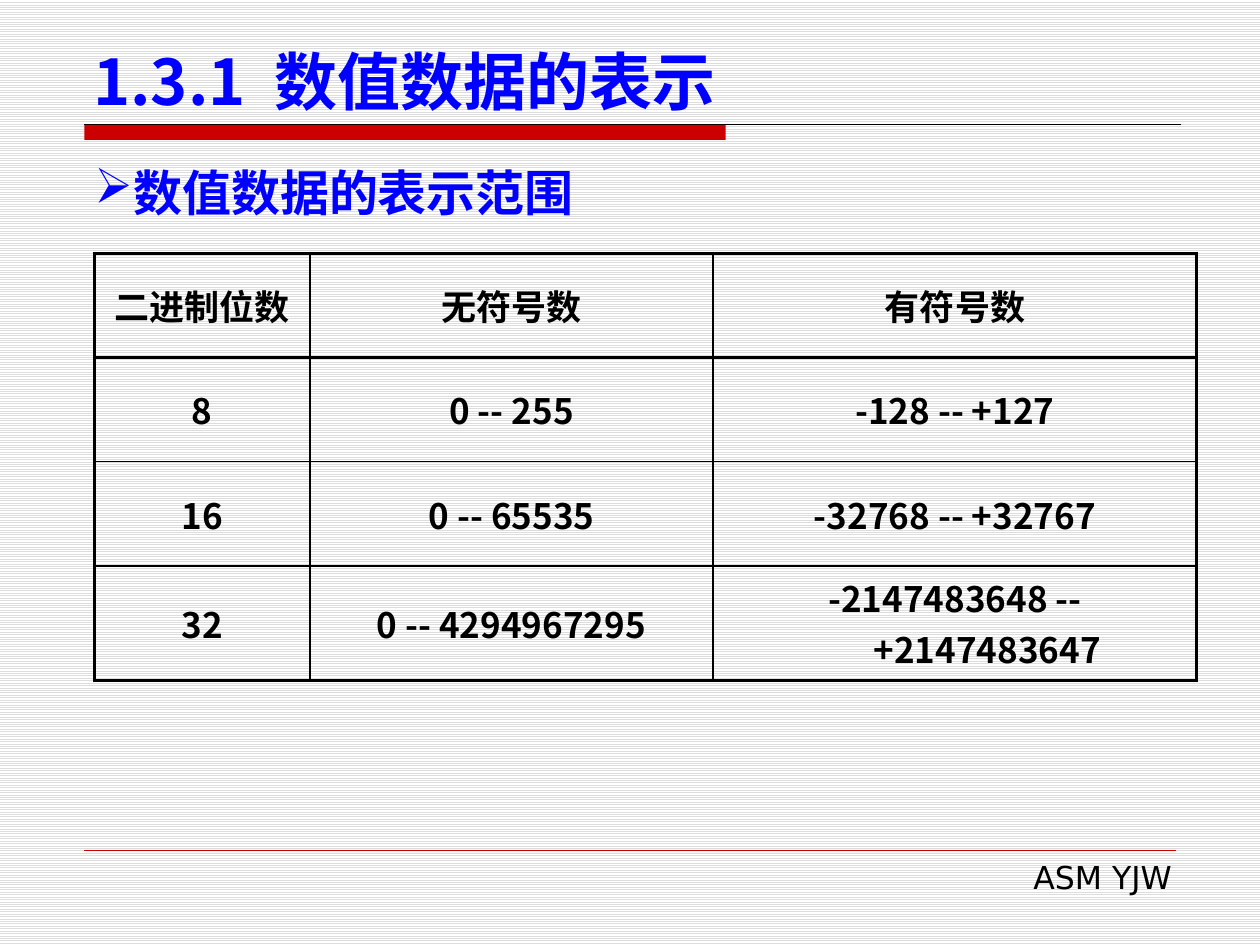
from dataclasses import dataclass

from lxml import etree
from pptx import Presentation
from pptx import util as u
from pptx.dml.color import RGBColor
from pptx.enum import dml, shapes, text
from pptx.oxml import ns


@dataclass(frozen=True)
class Theme:
    sans: str = "DejaVu Sans"
    cjk: str = "Noto Sans CJK SC"
    blue: str = "0000FF"
    red: str = "CC0000"
    black: str = "000000"
    stripe: str = "DDDDDD"
    paper: str = "FFFFFF"
    title_size: int = 36
    heading_size: int = 28
    cell_size: int = 20
    footer_size: int = 18
    thick: float = 2
    thin: float = 1
    rule: float = 0.75
    hairline: float = 0.25


THEME = Theme()
RANGES = [
    ["二进制位数", "无符号数", "有符号数"],
    ["8", "0 -- 255", "-128 -- +127"],
    ["16", "0 -- 65535", "-32768 -- +32767"],
    ["32", "0 -- 4294967295", "-2147483648 -- +2147483647"],
]
COLUMN_WIDTHS = [1.71, 3.2, 3.84]


def assign(target, values):
    for name, value in values.items():
        setattr(target, name, value)


def rgb(color):
    return RGBColor.from_string(color)


def inches(box):
    return [u.Inches(length) for length in box]


def write(frame, wording, face, size, color, align, bold=True):
    paragraph = frame.paragraphs[0]
    paragraph.alignment = align
    run = paragraph.add_run()
    run.text = wording
    assign(run.font, {"name": face, "size": u.Pt(size), "bold": bold})
    run.font.color.rgb = rgb(color)
    east_asian = etree.SubElement(run.font._element, ns.qn("a:ea"))
    east_asian.set("typeface", THEME.cjk)
    return paragraph


def set_frame(frame, anchor):
    assign(frame, {
        "word_wrap": True,
        "auto_size": text.MSO_AUTO_SIZE.NONE,
        "vertical_anchor": anchor,
        "margin_left": u.Inches(0.11),
        "margin_right": u.Inches(0.11),
        "margin_top": u.Inches(0.06),
        "margin_bottom": u.Inches(0.06),
    })


def add_rule(slide, start, end, color, width):
    rule = slide.shapes.add_connector(
        shapes.MSO_CONNECTOR.STRAIGHT, *inches(start), *inches(end))
    rule.line.color.rgb = rgb(color)
    rule.line.width = u.Pt(width)
    etree.SubElement(rule._element.spPr, ns.qn("a:effectLst"))


def add_text_box(slide, box):
    text_box = slide.shapes.add_textbox(*inches(box))
    set_frame(text_box.text_frame, text.MSO_ANCHOR.TOP)
    return text_box.text_frame


def build_background(slide):
    fill = slide.background.fill
    fill.patterned()
    fill.pattern = dml.MSO_PATTERN.LIGHT_HORIZONTAL
    fill.fore_color.rgb = rgb(THEME.stripe)
    fill.back_color.rgb = rgb(THEME.paper)


def build_title(slide, box):
    title = slide.shapes.title
    assign(title, dict(zip(("left", "top", "width", "height"), inches(box))))
    set_frame(title.text_frame, text.MSO_ANCHOR.BOTTOM)
    write(title.text_frame, "1.3.1  数值数据的表示", THEME.cjk,
          THEME.title_size, THEME.blue, text.PP_ALIGN.LEFT)


def build_divider(slide, box):
    left, top, width, height = box
    add_rule(slide, (left, top), (left + width, top), THEME.black, THEME.rule)
    bar = slide.shapes.add_shape(
        shapes.MSO_SHAPE.RECTANGLE, *inches((left, top, 5.09, height)))
    bar.shadow.inherit = False
    bar.fill.solid()
    bar.fill.fore_color.rgb = rgb(THEME.red)
    bar.line.fill.background()


def build_heading(slide, box):
    paragraph = write(add_text_box(slide, box), "数值数据的表示范围", THEME.sans,
                      THEME.heading_size, THEME.blue, text.PP_ALIGN.JUSTIFY)
    bullet = etree.SubElement(paragraph._p.get_or_add_pPr(), ns.qn("a:buChar"))
    bullet.set("char", "➢")


def set_borders(cell, widths):
    properties = cell._tc.get_or_add_tcPr()
    for index, (side, width) in enumerate(widths.items()):
        border = etree.Element(ns.qn(f"a:ln{side}"), w=str(u.Pt(width)))
        fill = etree.SubElement(border, ns.qn("a:solidFill"))
        etree.SubElement(fill, ns.qn("a:srgbClr"), val=THEME.black)
        properties.insert(index, border)


def build_range_table(slide, box):
    row_count, column_count = len(RANGES), len(COLUMN_WIDTHS)
    table = slide.shapes.add_table(row_count, column_count, *inches(box)).table
    assign(table, {"first_row": False, "horz_banding": False})
    for column, width in zip(table.columns, COLUMN_WIDTHS):
        column.width = u.Inches(width)
    for row, entries in enumerate(RANGES):
        table.rows[row].height = u.Inches(box[3] / row_count)
        for column, entry in enumerate(entries):
            cell = table.cell(row, column)
            cell.fill.background()
            cell.vertical_anchor = text.MSO_ANCHOR.MIDDLE
            paragraph = write(cell.text_frame, entry, THEME.cjk,
                              THEME.cell_size, THEME.black, text.PP_ALIGN.CENTER)
            hanging = u.Inches(0.51)
            indents = paragraph._p.get_or_add_pPr()
            indents.set("marL", str(hanging))
            indents.set("indent", str(-hanging))
            heavy = {
                "L": column == 0,
                "R": column == column_count - 1,
                "T": row in (0, 1),
                "B": row in (0, row_count - 1),
            }
            set_borders(cell, {side: THEME.thick if is_heavy else THEME.thin
                               for side, is_heavy in heavy.items()})


def build_footer(slide, box):
    left, top, width, height = box
    add_rule(slide, (left, top), (left + width, top), THEME.red, THEME.hairline)
    write(add_text_box(slide, (3.82, top, 5.59, height)), "ASM YJW", THEME.sans,
          THEME.footer_size, THEME.black, text.PP_ALIGN.RIGHT, bold=False)


def main():
    presentation = Presentation()
    assign(presentation, {"slide_width": u.Inches(10),
                          "slide_height": u.Inches(7.5)})
    slide = presentation.slides.add_slide(presentation.slide_layouts[5])
    build_background(slide)
    build_divider(slide, (0.67, 0.99, 8.7, 0.12))
    build_footer(slide, (0.67, 6.75, 8.66, 0.42))
    build_title(slide, (0.63, 0.21, 8.75, 0.79))
    build_heading(slide, (0.64, 1.23, 8.66, 0.58))
    build_range_table(slide, (0.75, 2.01, 8.75, 3.31))
    presentation.save("out.pptx")


if __name__ == "__main__":
    main()
